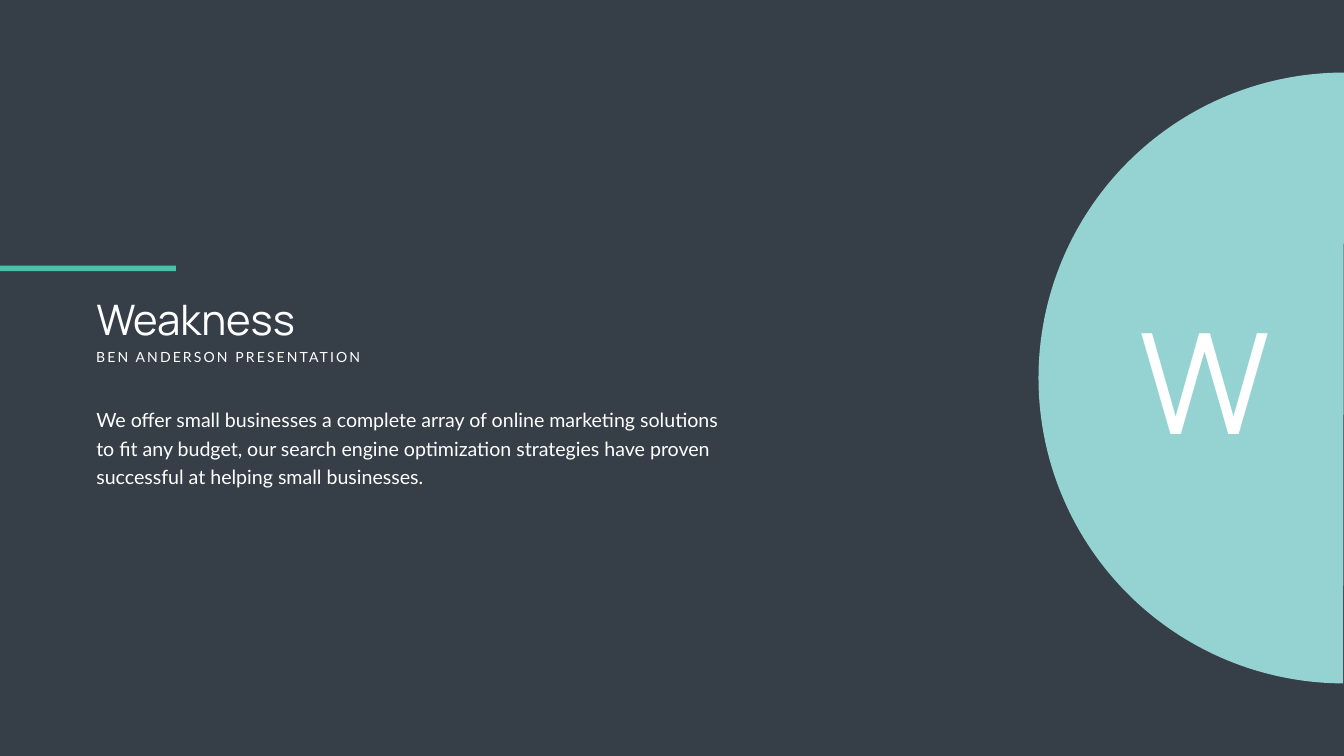
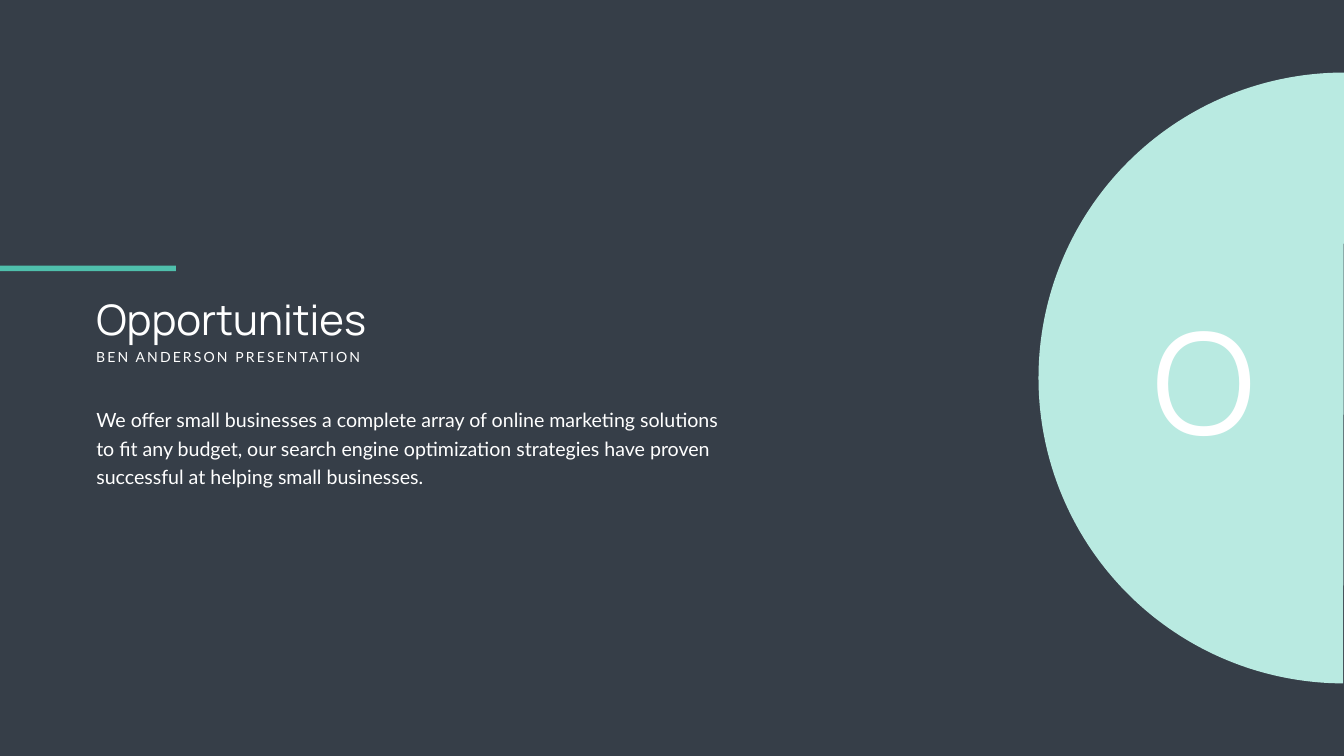
import pptx
import pptx.dml.color
import pptx.enum.shapes
import pptx.enum.text
import pptx.util
import lxml.etree

RGBColor = pptx.dml.color.RGBColor
Inches = pptx.util.Inches
Pt = pptx.util.Pt

# Shared look
SLATE = RGBColor(0x36, 0x3E, 0x48)
TEAL = RGBColor(0x4F, 0xBF, 0xAC)
AQUA = RGBColor(0x95, 0xD3, 0xD3)
MINT = RGBColor(0xB9, 0xEA, 0xE1)
WHITE = RGBColor(0xFF, 0xFF, 0xFF)
HEADING_FONT = "Manrope"
BODY_FONT = "Lato"
LEFT = PP_LEFT = pptx.enum.text.PP_ALIGN.LEFT
CENTER = pptx.enum.text.PP_ALIGN.CENTER

# Slide grid, in inches
WIDTH, HEIGHT = 26.66, 15
TEXT_LEFT = 1.81
DISC_SIZE = 12.12
DISC_TOP = (HEIGHT - DISC_SIZE) / 2
DISC_LEFT = WIDTH - DISC_SIZE / 2

SUBTITLE = "BEN ANDERSON PRESENTATION"
DESCRIPTION = (
    "We offer small businesses a complete array of online marketing solutions "
    "to fit any budget, our search engine optimization strategies have proven "
    "successful at helping small businesses."
)
SECTIONS = [
    ("Weakness", "W", AQUA),
    ("Opportunities", "O", MINT),
]


def write_text(shape, box, text, font_name, size, alignment=LEFT):
    """Place a text shape and give it one formatted run."""
    shape.left, shape.top, shape.width, shape.height = map(Inches, box)
    frame = shape.text_frame
    frame.word_wrap = True
    frame.auto_size = pptx.enum.text.MSO_AUTO_SIZE.NONE
    frame.vertical_anchor = pptx.enum.text.MSO_ANCHOR.MIDDLE
    frame.margin_left = frame.margin_right = Inches(0.1)
    frame.margin_top = frame.margin_bottom = 0
    paragraph = frame.paragraphs[0]
    paragraph.alignment = alignment
    paragraph.space_before = Pt(0)
    run = paragraph.add_run()
    run.text = text
    run.font.name = font_name
    run.font.size = Pt(size)
    run.font.color.rgb = WHITE
    return paragraph


def add_filled_shape(slide, kind, box, color):
    """Add a plain shape without outline or shadow."""
    shape = slide.shapes.add_shape(kind, *map(Inches, box))
    shape.shadow.inherit = False
    shape.fill.solid()
    shape.fill.fore_color.rgb = color
    shape.line.fill.background()
    return shape


presentation = pptx.Presentation()
presentation.slide_width = Inches(WIDTH)
presentation.slide_height = Inches(HEIGHT)

# One background for every slide
background = presentation.slide_master.background.fill
background.solid()
background.fore_color.rgb = SLATE

for title, initial, disc_color in SECTIONS:
    slide = presentation.slides.add_slide(presentation.slide_layouts[1])

    # Half disc at the right edge with the initial
    disc = add_filled_shape(
        slide,
        pptx.enum.shapes.MSO_SHAPE.CHORD,
        (DISC_LEFT, DISC_TOP, DISC_SIZE, DISC_SIZE),
        disc_color,
    )
    disc.rotation = 45
    disc.adjustments[0] = 27.1
    disc.adjustments[1] = 135
    letter = slide.shapes.add_textbox(0, 0, 0, 0)
    write_text(letter, (22.08, 5.77, 3.63, 3.47), initial, HEADING_FONT, 200, CENTER)

    # Accent bar and heading
    add_filled_shape(
        slide, pptx.enum.shapes.MSO_SHAPE.RECTANGLE, (0, 5.27, 3.49, 0.11), TEAL
    )
    write_text(
        slide.shapes.title, (TEXT_LEFT, 5.76, 9.76, 1.11), title, HEADING_FONT, 60
    )
    subtitle = slide.shapes.add_textbox(0, 0, 0, 0)
    paragraph = write_text(
        subtitle, (TEXT_LEFT, 6.87, 5.85, 0.44), SUBTITLE, BODY_FONT, 20
    )
    paragraph.runs[0].font._element.set("spc", "300")

    # Description without bullet or indent
    paragraph = write_text(
        slide.placeholders[1],
        (TEXT_LEFT, 7.96, 12.71, 1.77),
        DESCRIPTION,
        BODY_FONT,
        28,
    )
    paragraph.line_spacing = Pt(40.8)
    properties = paragraph._p.get_or_add_pPr()
    properties.set("marL", "0")
    properties.set("indent", "0")
    lxml.etree.SubElement(properties, pptx.oxml.ns.qn("a:buNone"))

presentation.save("out.pptx")
